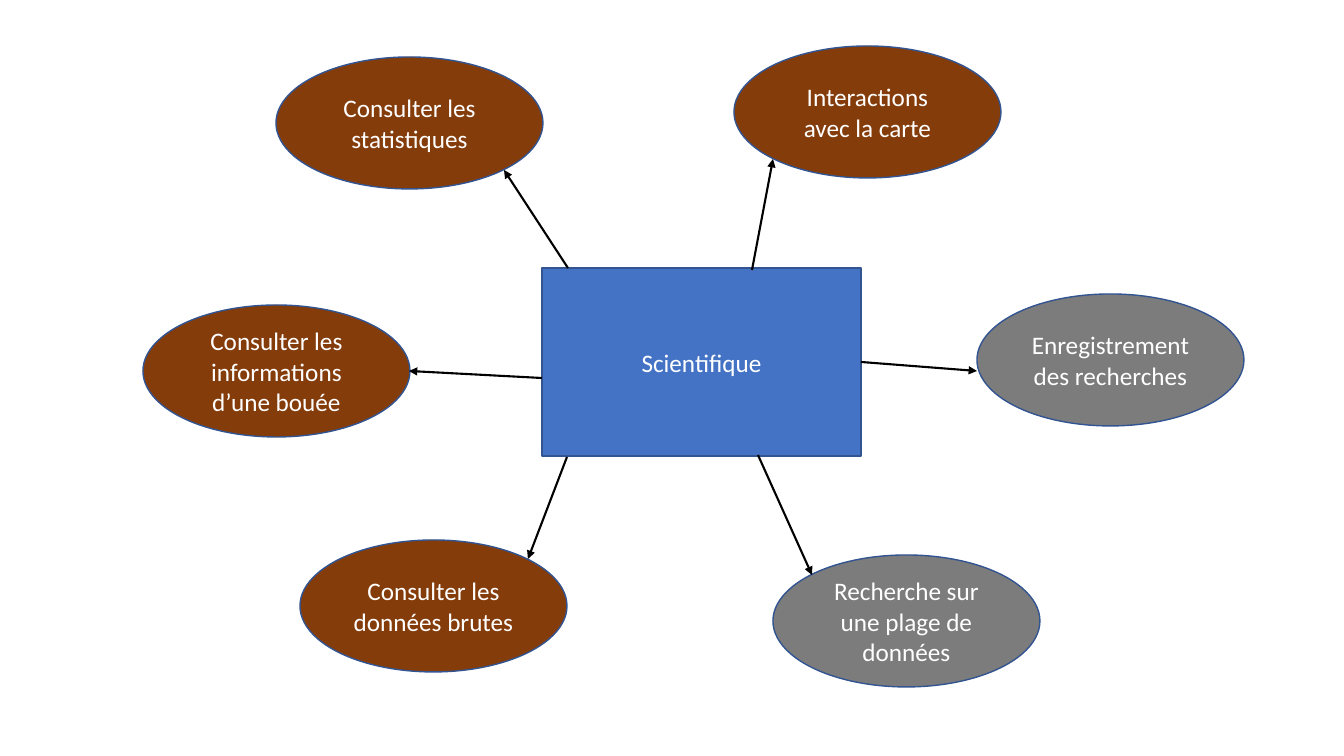
import pptx
import pptx.dml.color
import pptx.enum.shapes
import pptx.enum.text
import pptx.oxml.ns
import pptx.util
import lxml.etree

PIXELS_PER_INCH = 100.8
BROWN, GREY, BLUE = "843C0B", "7C7C7C", "4472C4"
OUTLINE, WHITE, BLACK = "325491", "FFFFFF", "000000"
OVAL = pptx.enum.shapes.MSO_SHAPE.OVAL
RECTANGLE = pptx.enum.shapes.MSO_SHAPE.RECTANGLE


def emu(*pixels):
    return [pptx.util.Inches(value / PIXELS_PER_INCH) for value in pixels]


def color(hex_string):
    return pptx.dml.color.RGBColor.from_string(hex_string)


presentation = pptx.Presentation()
presentation.slide_width, presentation.slide_height = emu(1344, 756)
slide = presentation.slides.add_slide(presentation.slide_layouts[6])

# Use cases around the central actor
use_case_size = (267, 132)
nodes = [
    (OVAL, "Consulter les statistiques", (276, 57), use_case_size, BROWN),
    (OVAL, "Interactions avec la carte", (734, 46), use_case_size, BROWN),
    (OVAL, "Consulter les données brutes", (300, 540), use_case_size, BROWN),
    (OVAL, "Consulter les informations d’une bouée", (143, 305), use_case_size, BROWN),
    (OVAL, "Recherche sur une plage de données", (773, 555), use_case_size, GREY),
    (OVAL, "Enregistrement des recherches", (977, 294), use_case_size, GREY),
    (RECTANGLE, "Scientifique", (542, 268), (319, 188), BLUE),
]
for kind, label, position, size, fill in nodes:
    shape = slide.shapes.add_shape(kind, *emu(*position, *size))
    shape.shadow.inherit = False
    shape.fill.solid()
    shape.fill.fore_color.rgb = color(fill)
    shape.line.color.rgb = color(OUTLINE)
    shape.line.width = pptx.util.Pt(1)
    text_frame = shape.text_frame
    text_frame.word_wrap = True
    text_frame.vertical_anchor = pptx.enum.text.MSO_ANCHOR.MIDDLE
    text_frame.text = label
    paragraph = text_frame.paragraphs[0]
    paragraph.alignment = pptx.enum.text.PP_ALIGN.CENTER
    font = paragraph.runs[0].font
    font.name = "Calibri"
    font.size = pptx.util.Pt(18)
    font.color.rgb = color(WHITE)

# Arrows from the actor to each use case
arrows = [
    (752, 270, 773, 159),
    (861, 362, 977, 371),
    (568, 268, 504, 170),
    (542, 378, 409, 371),
    (567, 457, 528, 559),
    (758, 455, 812, 575),
]
for ends in arrows:
    arrow = slide.shapes.add_connector(
        pptx.enum.shapes.MSO_CONNECTOR.STRAIGHT, *emu(*ends))
    arrow.line.color.rgb = color(BLACK)
    arrow.line.width = pptx.util.Pt(1.5)
    properties = arrow.element.spPr
    outline = properties.find(pptx.oxml.ns.qn("a:ln"))
    lxml.etree.SubElement(outline, pptx.oxml.ns.qn("a:tailEnd"), type="triangle")
    lxml.etree.SubElement(properties, pptx.oxml.ns.qn("a:effectLst"))

presentation.save("out.pptx")
